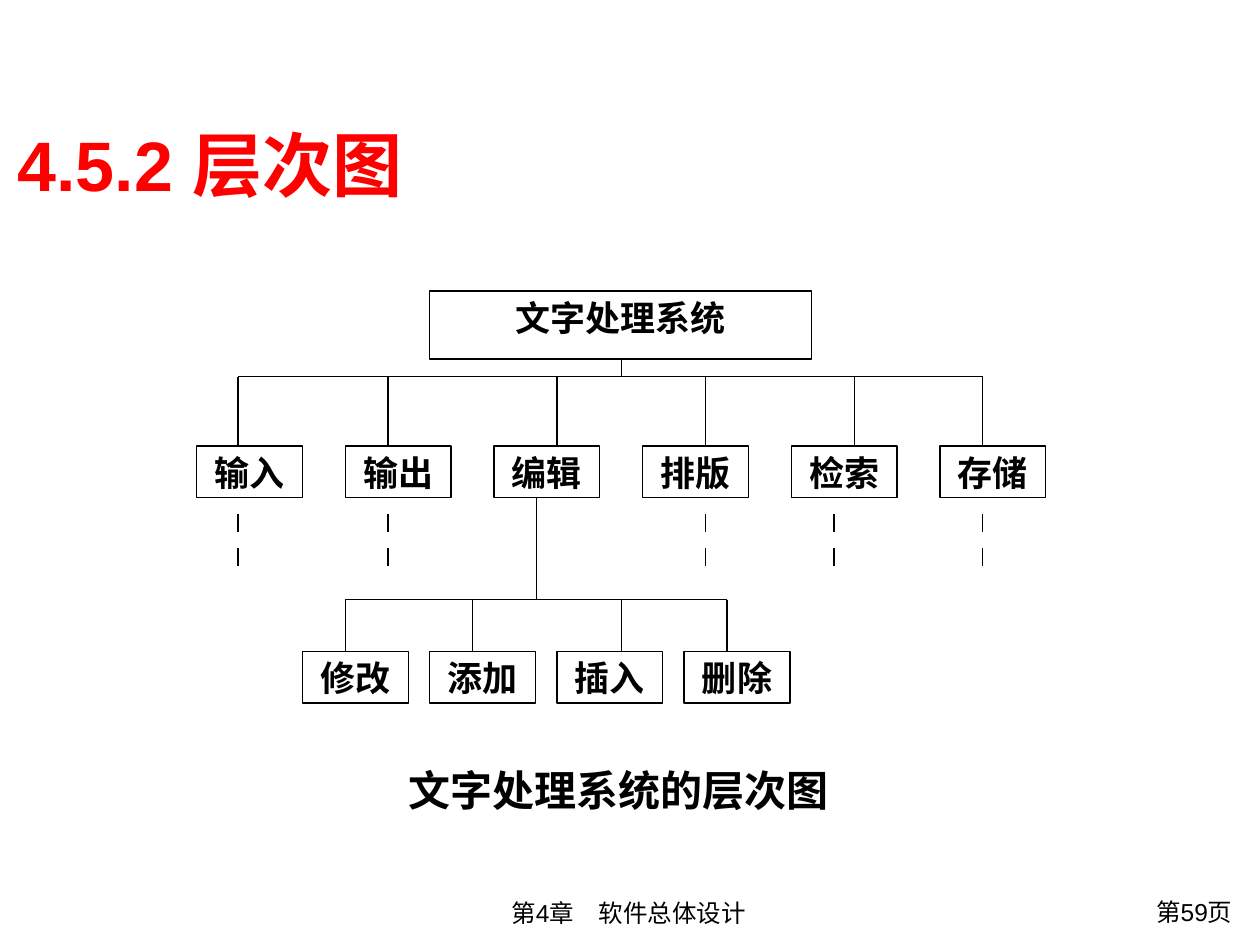
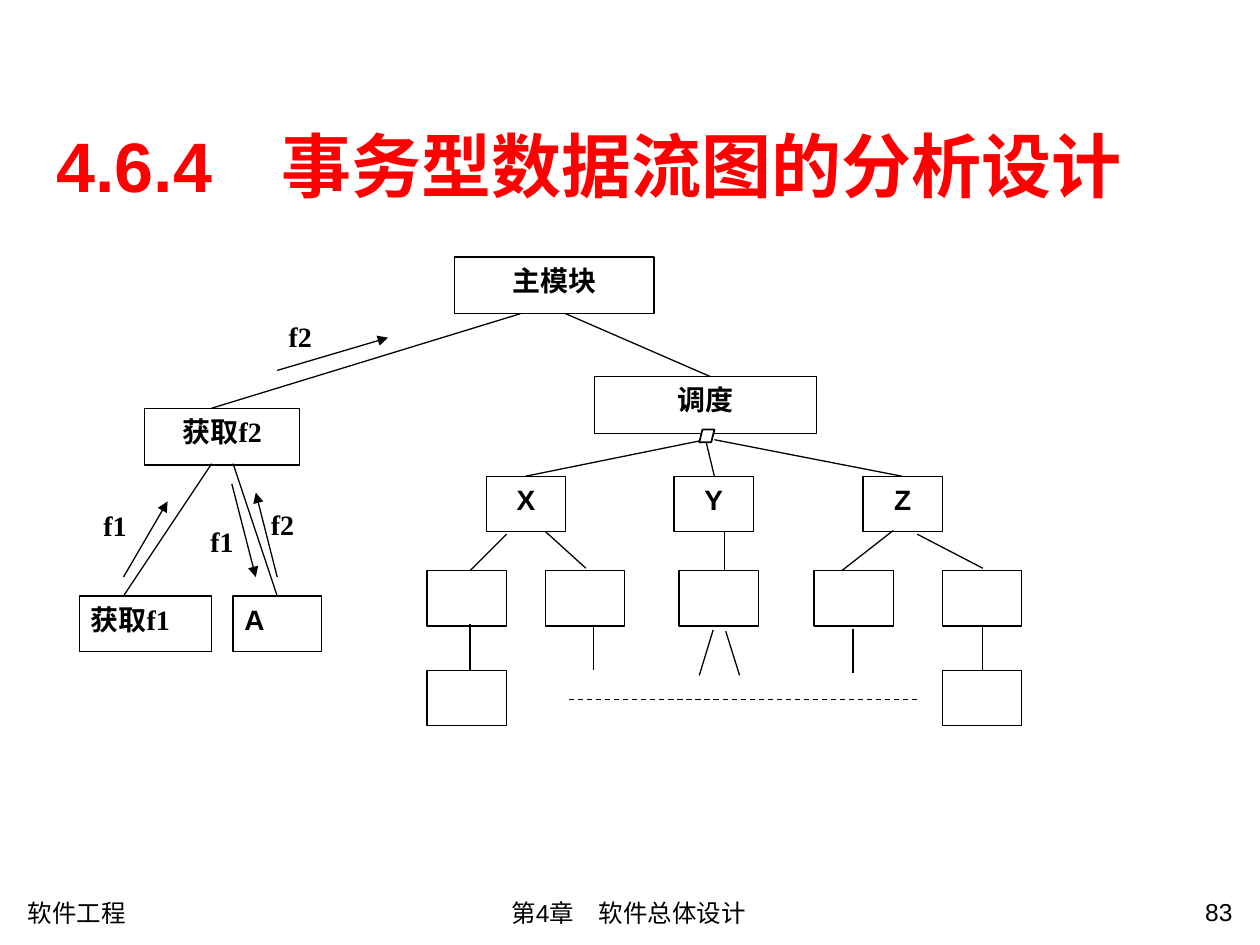
from dataclasses import dataclass
from typing import Any

from lxml import etree
from pptx import Presentation
from pptx.dml.color import RGBColor
from pptx.enum.dml import MSO_LINE
from pptx.enum.shapes import MSO_CONNECTOR, MSO_SHAPE
from pptx.enum.text import MSO_ANCHOR, PP_ALIGN
from pptx.oxml.ns import qn
from pptx.util import Inches, Pt

BLACK = RGBColor(0x00, 0x00, 0x00)
WHITE = RGBColor(0xFF, 0xFF, 0xFF)
RED = RGBColor(0xFF, 0x00, 0x00)
SANS, SERIF = "Arial", "Times New Roman"
LEFT, CENTER, RIGHT = PP_ALIGN.LEFT, PP_ALIGN.CENTER, PP_ALIGN.RIGHT
TOP, MIDDLE = MSO_ANCHOR.TOP, MSO_ANCHOR.MIDDLE
RECTANGLE, PARALLELOGRAM = MSO_SHAPE.RECTANGLE, MSO_SHAPE.PARALLELOGRAM
STRAIGHT, DASH = MSO_CONNECTOR.STRAIGHT, MSO_LINE.DASH


def write(shape, text, *, size, font=SANS, color=BLACK, bold=False,
          align=LEFT, anchor=TOP, inset=(0.1, 0.05)):
    frame = shape.text_frame
    frame.word_wrap = True
    frame.vertical_anchor = anchor
    frame.margin_left = frame.margin_right = Inches(inset[0])
    frame.margin_top = frame.margin_bottom = Inches(inset[1])
    para = frame.paragraphs[0]
    para.alignment = align
    span = para.add_run()
    span.text = text
    span.font.size = Pt(size)
    span.font.name = font
    span.font.bold = bold
    span.font.color.rgb = color


@dataclass
class Region:
    """Part of a page whose objects are placed from its top left corner."""
    page: Any
    left: float = 0
    top: float = 0

    def place(self, x, y):
        return Inches(self.left + x), Inches(self.top + y)

    def text(self, x, y, width, height, text, **style):
        box = self.page.shapes.add_textbox(
            *self.place(x, y), Inches(width), Inches(height))
        write(box, text, **style)

    def node(self, x, y, width, height, text="", *, kind=RECTANGLE,
             outline=0.75, **style):
        shape = self.page.shapes.add_shape(
            kind, *self.place(x, y), Inches(width), Inches(height))
        shape.shadow.inherit = False
        shape.fill.solid()
        shape.fill.fore_color.rgb = WHITE
        if outline:
            shape.line.color.rgb = BLACK
            shape.line.width = Pt(outline)
        else:
            shape.line.fill.background()
        if text:
            write(shape, text, bold=True, **style)

    def line(self, x1, y1, x2, y2, *, arrow=False, dash=None):
        link = self.page.shapes.add_connector(
            STRAIGHT, *self.place(x1, y1), *self.place(x2, y2))
        link.line.color.rgb = BLACK
        link.line.width = Pt(0.75)
        if dash:
            link.line.dash_style = dash
        if arrow:
            etree.SubElement(link.line._get_or_add_ln(), qn("a:tailEnd"),
                             type="triangle")
        etree.SubElement(link._element.spPr, qn("a:effectLst"))


def add_title(region, width, height, text):
    region.text(0, 0, width, height, text, size=40, color=RED, bold=True,
                anchor=MIDDLE)


def add_footer(region, number, course=""):
    region.text(2.35, 0.01, 5.28, 0.34, "第4章　软件总体设计",
                size=14, align=CENTER)
    if course:
        region.text(0.12, 0.01, 1.57, 0.32, course, size=14)
    region.text(8.54, 0, 1.34, 0.37, number, size=14, align=RIGHT)


def hierarchy(region):
    node_width, node_height = 0.84, 0.41
    style = dict(size=20, font=SERIF, align=CENTER, inset=(0.09, 0.04))
    levels = [
        # node top, first left, pitch, bus height, drop positions, names
        (1.23, 0, 1.18, 0.68, (0.33, 1.52, 2.86, 4.04, 5.22, 6.24),
         ("输入", "输出", "编辑", "排版", "检索", "存储")),
        (2.86, 0.84, 1.01, 2.45, (1.18, 2.19, 3.37, 4.21),
         ("修改", "添加", "插入", "删除")),
    ]
    region.node(1.85, 0, 3.03, 0.54, "文字处理系统", **style)
    for top, first, pitch, bus, drops, names in levels:
        for index, name in enumerate(names):
            region.node(first + index * pitch, top, node_width, node_height,
                        name, **style)
        region.line(drops[0], bus, drops[-1], bus)
        for x in drops:
            region.line(x, bus, x, top)

    region.line(3.37, 0.54, 3.37, 0.68)
    region.line(2.7, 1.64, 2.7, 2.45)
    for x in (0.33, 1.52, 4.04, 5.06, 6.24):
        for y in (1.77, 2.04):
            region.line(x, y, x, y + 0.14)


def input_branch(region):
    style = dict(size=16, font=SERIF)
    inset = (0.09, 0.05)
    labels = [("f2", 1.43, 1.49), ("f1", 0.95, 1.62),
              ("f1", 0.1, 1.5), ("f2", 1.57, 0)]
    for name, x, y in labels:
        region.node(x, y, 0.53, 0.45, name, outline=0, inset=inset, **style)
    region.node(0.52, 0.75, 1.23, 0.45, "获取f2", align=CENTER, inset=inset,
                **style)
    region.node(0, 2.24, 1.05, 0.44, "获取f1", inset=inset, **style)
    region.node(1.22, 2.24, 0.7, 0.44, "A", size=16, inset=inset)

    links = [(1.05, 0.75, 3.5, 0), (1.05, 1.19, 0.35, 2.24),
             (1.22, 1.19, 1.57, 2.24)]
    flows = [(1.57, 0.45, 2.45, 0.19), (0.35, 2.09, 0.7, 1.49),
             (1.21, 1.35, 1.4, 2.09), (1.57, 2.09, 1.4, 1.42)]
    for ends in links:
        region.line(*ends)
    for ends in flows:
        region.line(*ends, arrow=True)


def dispatch_branch(region):
    node_width, node_height = 0.63, 0.44
    style = dict(size=16, align=CENTER, inset=(0.09, 0.05))
    child_lefts = (0, 0.94, 2, 3.07, 4.09)
    region.node(1.33, 0, 1.76, 0.45, "调度", **style)
    for name, x in zip("XYZ", (0.47, 1.96, 3.46)):
        region.node(x, 0.79, node_width, node_height, name, **style)
    for x in child_lefts:
        region.node(x, 1.54, node_width, node_height)
    for x in (child_lefts[0], child_lefts[-1]):
        region.node(x, 2.33, node_width, node_height)

    dispatch_links = [(2.21, 0.5, 0.78, 0.79), (2.21, 0.5, 2.28, 0.79),
                      (2.28, 0.5, 3.77, 0.79)]
    child_links = [(0.63, 1.25, 0.34, 1.54), (0.94, 1.23, 1.26, 1.52),
                   (2.36, 1.23, 2.36, 1.54), (3.7, 1.22, 3.29, 1.54),
                   (3.89, 1.25, 4.41, 1.52)]
    lower_links = [(0.34, 1.96, 0.34, 2.33), (1.32, 1.97, 1.32, 2.33),
                   (2.27, 2.01, 2.16, 2.37), (2.37, 2.02, 2.48, 2.37),
                   (3.38, 2, 3.38, 2.35), (4.41, 1.98, 4.41, 2.33)]
    region.line(1.1, -0.5, 2.25, 0)
    for ends in dispatch_links + child_links + lower_links:
        region.line(*ends)
    region.line(3.89, 2.56, 1.1, 2.56, dash=DASH)
    region.node(2.16, 0.42, 0.12, 0.1, kind=PARALLELOGRAM, outline=1)


def hierarchy_page(page):
    add_footer(Region(page, top=7.07), "第59页")
    add_title(Region(page, 0.04, 0.94), 8.43, 0.72, "4.5.2 层次图")
    hierarchy(Region(page, 1.56, 2.31))
    Region(page, 3.24, 6.07).text(0, 0, 3.57, 0.4, "文字处理系统的层次图",
                                  size=24, bold=True, inset=(0, 0))


def transaction_page(page):
    add_footer(Region(page, top=7.07), "83", course="软件工程")
    add_title(Region(page, 0.35, 0.83), 9, 0.95,
              "4.6.4　事务型数据流图的分析设计")
    input_branch(Region(page, 0.63, 2.49))
    dispatch_branch(Region(page, 3.39, 2.99))
    Region(page, 3.61, 2.04).node(0, 0, 1.58, 0.45, "主模块", size=16,
                                  font=SERIF, align=CENTER,
                                  inset=(0.09, 0.05))


def main():
    deck = Presentation()
    deck.slide_width, deck.slide_height = Inches(10), Inches(7.5)
    blank = deck.slide_layouts[6]
    for build in (hierarchy_page, transaction_page):
        build(deck.slides.add_slide(blank))
    deck.save("out.pptx")


if __name__ == "__main__":
    main()
